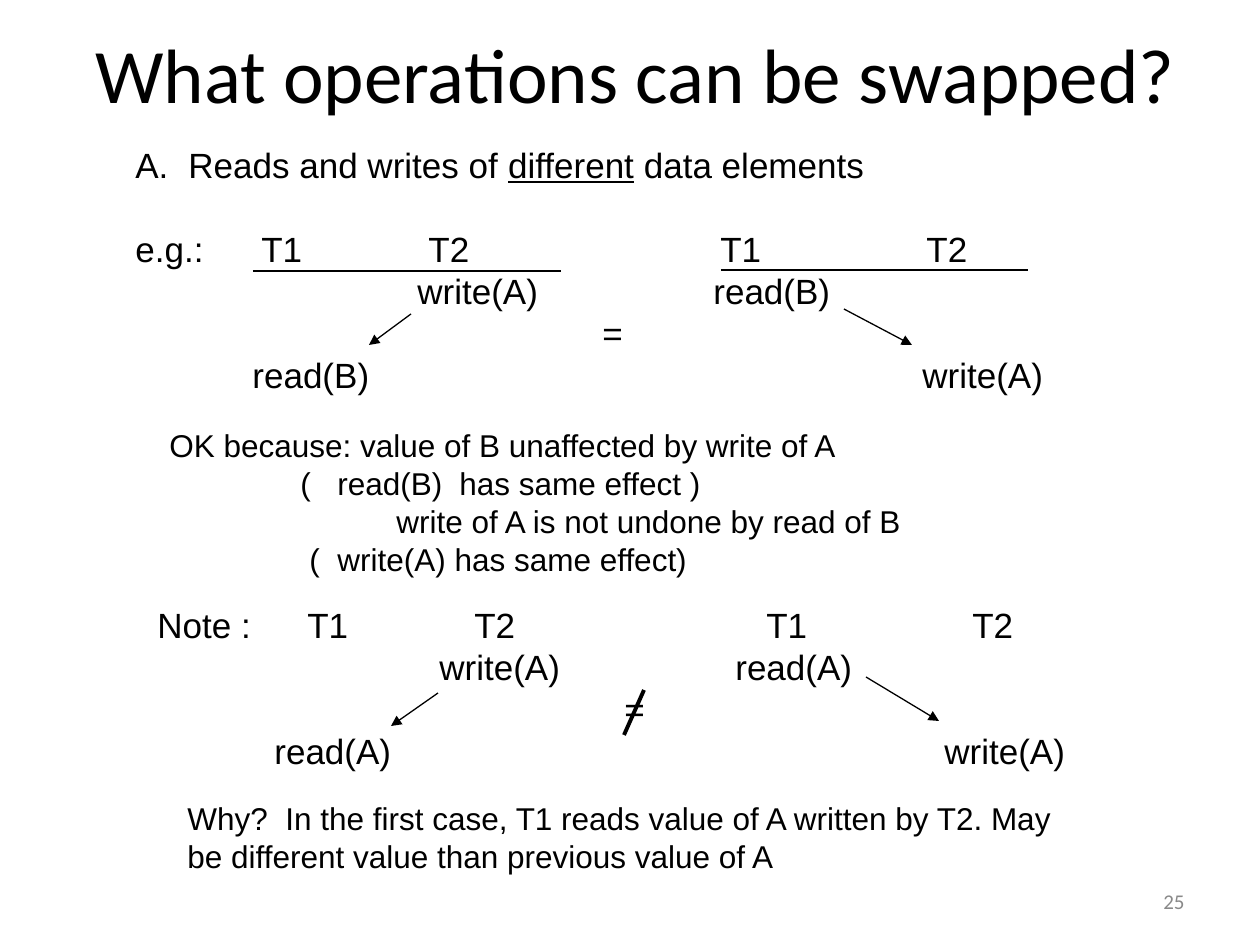
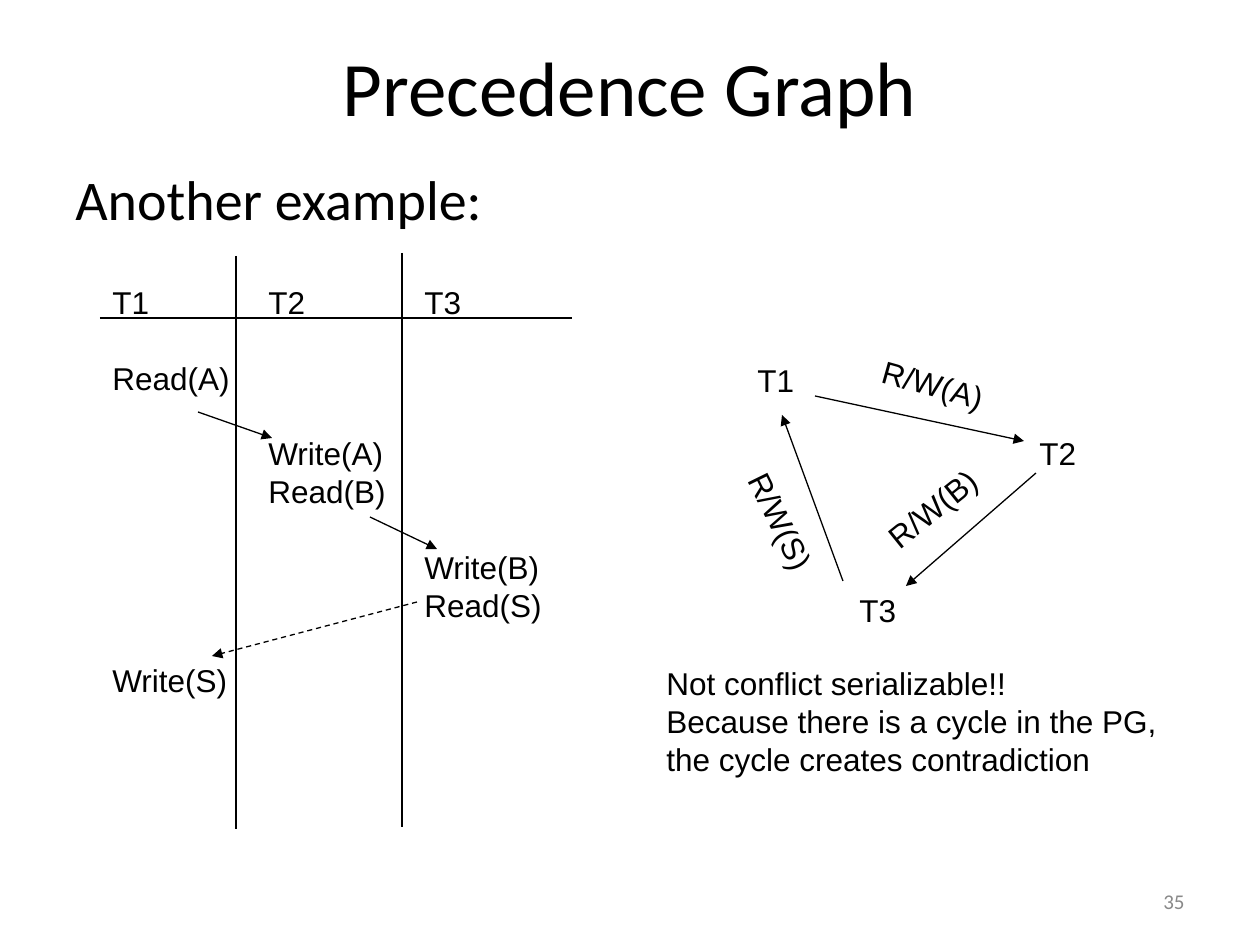
from dataclasses import dataclass

from lxml.etree import SubElement
from pptx import Presentation
from pptx.dml.color import RGBColor
from pptx.enum.dml import MSO_LINE
from pptx.enum.shapes import MSO_CONNECTOR
from pptx.enum.text import MSO_ANCHOR, MSO_AUTO_SIZE, PP_ALIGN
from pptx.oxml.ns import qn
from pptx.util import Emu, Pt

PIXELS_PER_INCH = 126
TITLE_ONLY_LAYOUT = 5


@dataclass(frozen=True)
class Theme:
    """Colours, fonts, type sizes and line widths of the deck."""

    ink: RGBColor = RGBColor(0x00, 0x00, 0x00)
    muted: RGBColor = RGBColor(0x89, 0x89, 0x89)
    paper: RGBColor = RGBColor(0xFF, 0xFF, 0xFF)
    heading_font: str = "Calibri"
    body_font: str = "Arial"
    title_size: int = 44
    subtitle_size: int = 32
    schedule_size: int = 20
    body_size: int = 18
    number_size: int = 12
    leading: float = 1.2
    thin: float = 0.75
    thick: float = 2.25


THEME = Theme()


def px(length):
    """Turn a length in px into EMU."""
    return Emu(round(length * 914400 / PIXELS_PER_INCH))


def apply_format(target, **values):
    """Set each given attribute on the target."""
    for name, value in values.items():
        setattr(target, name, value)


def place(shape, box):
    """Move and size a shape to a box in px."""
    names = ("left", "top", "width", "height")
    apply_format(shape, **dict(zip(names, map(px, box))))


def add_tab_stops(paragraph, stops):
    """Give a paragraph left tab stops in px."""
    tab_list = SubElement(paragraph._p.get_or_add_pPr(), qn("a:tabLst"))
    for stop in stops:
        SubElement(tab_list, qn("a:tab"), pos=str(px(stop)), algn="l")


def fill_paragraph(paragraph, text, size, font, color):
    """Write text into a paragraph, underlining what stands between underscores."""
    for index, part in enumerate(text.split("_")):
        run = paragraph.add_run()
        run.text = part
        apply_format(run.font, name=font, size=Pt(size), underline=index % 2 == 1)
        run.font.color.rgb = color


def add_text(slide, box, lines, size=THEME.body_size, font=THEME.body_font,
             color=THEME.ink, wrap=True, align=PP_ALIGN.LEFT,
             anchor=MSO_ANCHOR.TOP, rotation=0):
    """Add a text box whose lines are (row, text, tab stops)."""
    shape = slide.shapes.add_textbox(*map(px, box))
    shape.rotation = rotation
    frame = shape.text_frame
    apply_format(frame, word_wrap=wrap, vertical_anchor=anchor)
    previous_row = 0
    for index, (row, text, stops) in enumerate(lines):
        paragraph = frame.add_paragraph() if index else frame.paragraphs[0]
        paragraph.alignment = align
        if stops:
            add_tab_stops(paragraph, stops)
        if font == THEME.body_font:
            leading = size * THEME.leading
            paragraph.line_spacing = Pt(leading)
            if row > previous_row + 1:
                paragraph.space_before = Pt((row - previous_row - 1) * leading)
        fill_paragraph(paragraph, text, size, font, color)
        previous_row = row


def add_line(slide, origin, ends, width=THEME.thin, arrow=False, dashed=False):
    """Draw a straight line between two points relative to an origin."""
    points = [px(value + origin[index % 2]) for index, value in enumerate(ends)]
    connector = slide.shapes.add_connector(MSO_CONNECTOR.STRAIGHT, *points)
    connector.line.color.rgb = THEME.ink
    connector.line.width = Pt(width)
    if dashed:
        connector.line.dash_style = MSO_LINE.DASH
    if arrow:
        SubElement(connector.line._get_or_add_ln(), qn("a:tailEnd"), type="triangle")
    SubElement(connector._element.spPr, qn("a:effectLst"))


def within(box, left, top, width, height):
    """Return a box offset by the corner of its parent box."""
    return box[0] + left, box[1] + top, width, height


def add_titled_slide(presentation, title, title_box, number):
    """Add a slide with its title and page number."""
    slide = presentation.slides.add_slide(presentation.slide_layouts[TITLE_ONLY_LAYOUT])
    slide.background.fill.solid()
    slide.background.fill.fore_color.rgb = THEME.paper
    place(slide.shapes.title, title_box)
    frame = slide.shapes.title.text_frame
    apply_format(frame, auto_size=MSO_AUTO_SIZE.NONE, word_wrap=True,
                 vertical_anchor=MSO_ANCHOR.MIDDLE)
    paragraph = frame.paragraphs[0]
    paragraph.alignment = PP_ALIGN.CENTER
    fill_paragraph(paragraph, title, THEME.title_size, THEME.heading_font, THEME.ink)
    add_text(slide, (903, 876, 294, 50), [(0, number, ())], size=THEME.number_size,
             font=THEME.heading_font, color=THEME.muted, align=PP_ALIGN.RIGHT,
             anchor=MSO_ANCHOR.MIDDLE)
    return slide


def add_schedule_pair(slide, box, label, read, header_shift, arrows):
    """Show two schedules of T1 and T2 side by side with their swap arrows."""
    header_stops = [stop + header_shift for stop in (126, 293, 585, 791)]
    lines = [
        (0, f"{label}\tT1\tT2\tT1\tT2", header_stops),
        (1, f"\twrite(A)\t{read}", (282, 578)),
        (2, "\t=", (467,)),
        (3, f"\t{read}\twrite(A)", (117, 787)),
    ]
    add_text(slide, box, lines, size=THEME.schedule_size)
    for ends in arrows:
        add_line(slide, box, ends, arrow=True)


def add_reasons(slide, box):
    """Explain why the swap is allowed."""
    add_text(slide, box, [
        (0, "OK because: value of B unaffected by write of A", ()),
        (1, "\t(\tread(B)\thas same effect )", (131, 168, 290)),
        (2, "\twrite of A is not undone by read of B", (227,)),
        (3, "\t(\twrite(A) has same effect)", (140, 168)),
    ])


def add_swap_slide(presentation):
    """Build the slide on operations that can be swapped."""
    slide = add_titled_slide(presentation, "What operations can be swapped?",
                             (79, 10, 1113, 126), "25")
    add_text(slide, (123, 137, 935, 55),
             [(0, "A.\tReads and writes of _different_ data elements", (53,))],
             size=THEME.schedule_size)
    equal_box = (123, 221, 935, 181)
    add_schedule_pair(slide, equal_box, "e.g.:", "read(B)", 0,
                      [(288, 93, 246, 124), (721, 88, 789, 124)])
    for rule in ((130, 50, 438, 50), (598, 49, 905, 49)):
        add_line(slide, equal_box, rule)
    add_reasons(slide, (157, 420, 760, 164))
    unequal_box = (145, 597, 935, 181)
    add_schedule_pair(slide, unequal_box, "Note :", "read(A)", 24,
                      [(293, 96, 246, 129), (721, 80, 794, 124)])
    add_line(slide, unequal_box, (499, 93, 479, 138), width=THEME.thick)
    why = ("Why?\tIn the first case, T1 reads value of A written by T2. May "
           "be different value than previous value of A")
    add_text(slide, (175, 793, 900, 88), [(0, why, (98,))])


def add_transaction_columns(slide, box):
    """Draw the schedule of three transactions with its conflicts."""
    columns = (
        ((0, "T1"), (2, "Read(A)"), (10, "Write(S)")),
        ((0, "T2"), (4, "Write(A)"), (5, "Read(B)")),
        ((0, "T3"), (7, "Write(B)"), (8, "Read(S)")),
    )
    for index, steps in enumerate(columns):
        add_text(slide, within(box, 156 * index, 24, 150, 431),
                 [(row, text, ()) for row, text in steps])
    for rule in ((0, 65, 472, 65), (136, 3, 136, 576), (302, 0, 302, 574)):
        add_line(slide, box, rule)
    for ends in ((98, 159, 172, 185), (270, 264, 337, 296)):
        add_line(slide, box, ends, arrow=True)
    add_line(slide, box, (317, 349, 112, 403), arrow=True, dashed=True)


def add_precedence_graph(slide, box):
    """Draw the cycle between the three transactions."""
    nodes = (("T1", 28, 0), ("T2", 310, 73), ("T3", 130, 230))
    for name, left, top in nodes:
        add_text(slide, within(box, left, top, 62, 50), [(0, name, ())], wrap=False)
    edges = (
        ("R/W(A)", 152, 4, 15.6, (98, 41, 307, 86)),
        ("R/W(B)", 151, 128, 321.2, (319, 118, 189, 231)),
        ("R/W(S)", 0, 141, 63.8, (126, 226, 65, 60)),
    )
    for label, left, top, angle, ends in edges:
        add_text(slide, within(box, left, top, 128, 50), [(0, label, ())],
                 wrap=False, rotation=angle)
        add_line(slide, box, ends, arrow=True)


def add_graph_slide(presentation):
    """Build the slide with the precedence graph."""
    slide = add_titled_slide(presentation, "Precedence Graph",
                             (63, 21, 1134, 130), "35")
    add_text(slide, (63, 158, 1134, 82), [(0, "Another example:", ())],
             size=THEME.subtitle_size, font=THEME.heading_font)
    add_transaction_columns(slide, (100, 253, 472, 576))
    add_precedence_graph(slide, (717, 355, 372, 280))
    conclusion = ("Not conflict serializable!!",
                  "Because there is a cycle in the PG,",
                  "the cycle creates contradiction")
    add_text(slide, (654, 658, 530, 126),
             [(row, text, ()) for row, text in enumerate(conclusion)])


def main():
    """Build and save the deck."""
    presentation = Presentation()
    apply_format(presentation, slide_width=px(1260), slide_height=px(945))
    add_swap_slide(presentation)
    add_graph_slide(presentation)
    presentation.save("out.pptx")


if __name__ == "__main__":
    main()
